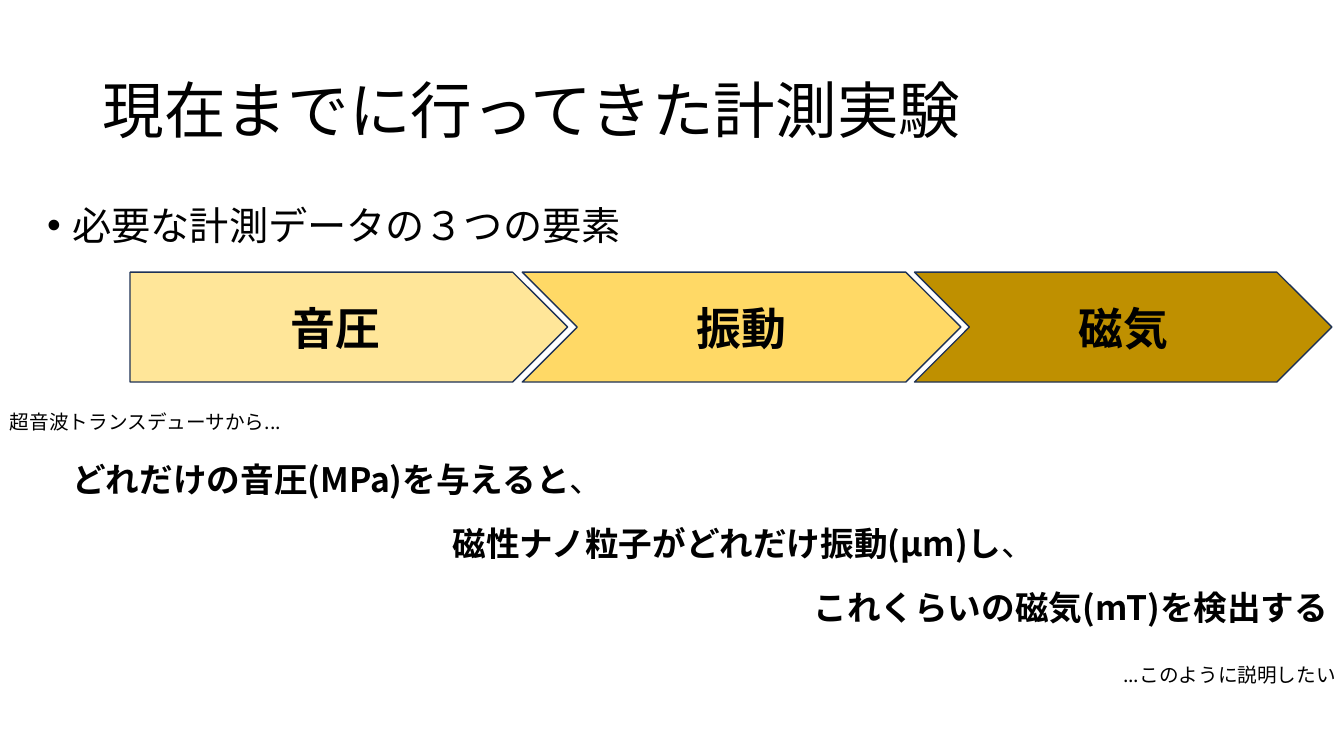
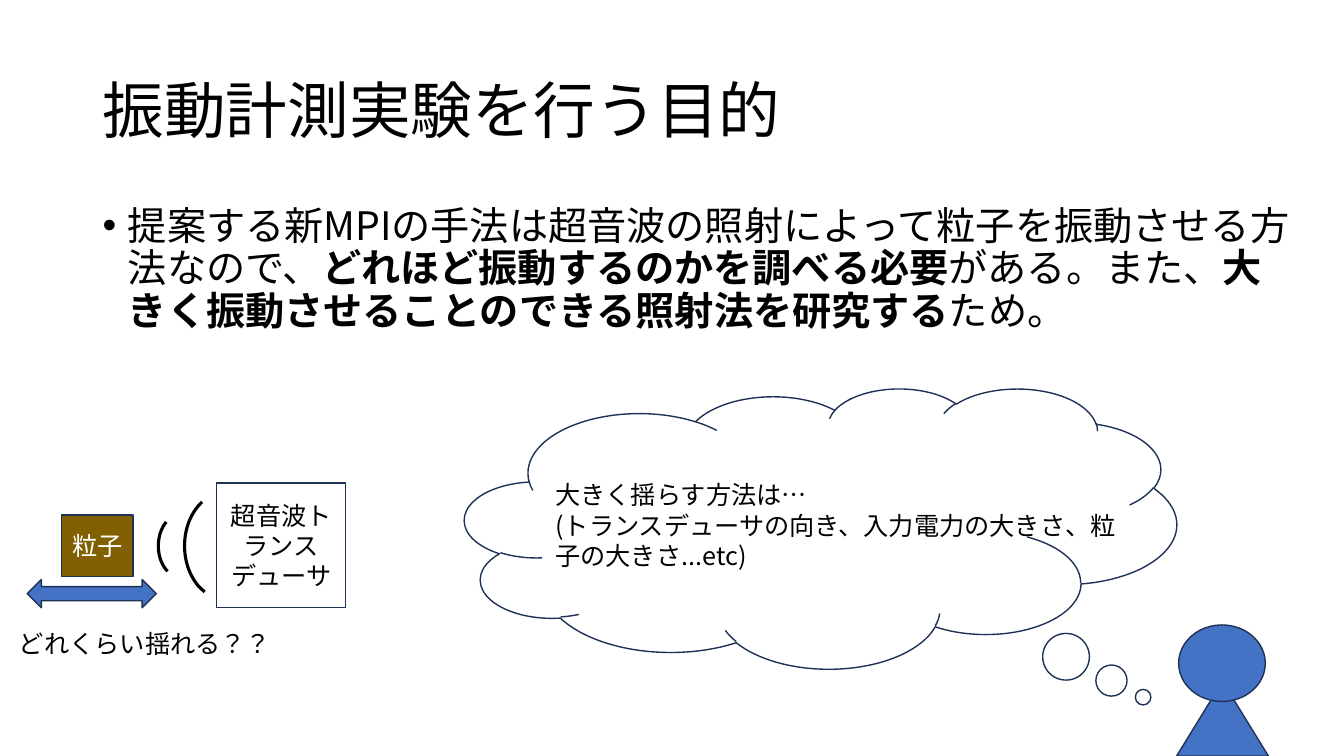
from dataclasses import dataclass

from lxml.etree import SubElement
from pptx import Presentation
from pptx.dml.color import RGBColor
from pptx.enum.lang import MSO_LANGUAGE_ID
from pptx.enum.shapes import MSO_SHAPE
from pptx.enum.text import MSO_ANCHOR, MSO_AUTO_SIZE, PP_ALIGN
from pptx.oxml.ns import qn
from pptx.util import Inches, Pt


@dataclass(frozen=True)
class Theme:
    font: str = "Noto Sans CJK JP"
    black: str = "000000"
    white: str = "FFFFFF"
    outline: str = "1E3256"
    blue: str = "4472C4"
    brown: str = "806000"
    pale_gold: str = "FFE699"
    gold: str = "FFD966"
    dark_gold: str = "BF9000"
    title: int = 44
    step: int = 32
    body: int = 28
    statement: int = 24
    label: int = 18
    note: int = 14
    thin: float = 1
    thick: float = 2.25


THEME = Theme()

STEPS_TITLE = "現在までに行ってきた計測実験"
STEPS_BODY = [("必要な計測データの３つの要素", False)]
STEPS = [
    ("音圧", MSO_SHAPE.PENTAGON, 4.34, THEME.pale_gold),
    ("振動", MSO_SHAPE.CHEVRON, 4.35, THEME.gold),
    ("磁気", MSO_SHAPE.CHEVRON, 4.14, THEME.dark_gold),
]
STEP_LEFT, STEP_TOP, STEP_PITCH, STEP_HEIGHT = 1.29, 2.7, 3.89, 1.09
STATEMENTS = [
    (0.62, 5.57, [("どれだけの音圧(MPa)を与えると", True), ("、", False)]),
    (4.39, 6.21, [("磁性ナノ粒子がどれだけ振動(μm)し", True), ("、", False)]),
    (7.97, 5.39, [("これくらいの磁気(mT)を検出する", True)]),
]
STATEMENT_TOP, STATEMENT_PITCH = 4.5, 0.635
NOTES = [
    ("超音波トランスデューサから...", (0, 4.02, 3.02, 0.34)),
    ("...このように説明したい", (11.04, 6.53, 2.32, 0.34)),
]

PURPOSE_TITLE = "振動計測実験を行う目的"
PURPOSE_BODY = [
    ("提案する新MPIの手法は超音波の照射によって粒子を振動させる方法なので、", False),
    ("どれほど振動するのかを調べる必要", True),
    ("がある。また、", False),
    ("大きく振動させることのできる照射法を研究する", True),
    ("ため。", False),
]
QUESTION = "どれくらい揺れる？？"
THOUGHT = [
    "大きく揺らす方法は…",
    "(トランスデューサの向き、入力電力の大きさ、粒子の大きさ...etc)",
]
BLOCKS = [
    ("粒子", (0.61, 5.11, 0.71, 0.61), THEME.brown, THEME.white),
    ("超音波トランスデューサ", (2.15, 4.79, 1.28, 1.24), None, THEME.black),
]
WAVES = [(1.83, 4.88, 0.83, 1.07), (1.57, 5.11, 0.42, 0.61)]
WAVE_ANGLES = (177.121, 36.644)
CLOUD_TAIL = (0.453, 0.603)


def write(para, spans, size, color=THEME.black):
    for text, bold in spans:
        span = para.add_run()
        span.text = text
        font = span.font
        font.name = THEME.font
        font.size = Pt(size)
        font.bold = bold
        font.color.rgb = RGBColor.from_string(color)
        font.language_id = MSO_LANGUAGE_ID.JAPANESE
        latin = span._r.rPr.find(qn("a:latin"))
        east_asian = span._r.rPr.makeelement(qn("a:ea"), {"typeface": THEME.font})
        latin.addnext(east_asian)


def add_text(page, place, paragraphs, size, grow=True):
    box = page.shapes.add_textbox(*map(Inches, place))
    frame = box.text_frame
    frame.word_wrap = True
    if grow:
        frame.auto_size = MSO_AUTO_SIZE.SHAPE_TO_FIT_TEXT
    for index, spans in enumerate(paragraphs):
        para = frame.add_paragraph() if index else frame.paragraphs[0]
        write(para, spans, size)
    return frame


def add_title(page, title):
    frame = add_text(page, (0.92, 0.4, 11.5, 1.45), [[(title, False)]], THEME.title, False)
    frame.vertical_anchor = MSO_ANCHOR.MIDDLE
    frame.paragraphs[0].line_spacing = 0.9


def add_bullet(page, place, spans):
    para = add_text(page, place, [spans], THEME.body, False).paragraphs[0]
    para.line_spacing = 0.9
    para.space_before = Pt(10)
    properties = para._p.get_or_add_pPr()
    properties.set("marL", str(Inches(0.25)))
    properties.set("indent", str(Inches(-0.25)))
    SubElement(properties, qn("a:buFont"), typeface="Arial")
    SubElement(properties, qn("a:buChar"), char="•")


def add_figure(page, kind, place, fill=None, line=THEME.outline, weight=THEME.thin,
               adjust=(), rotation=0):
    shape = page.shapes.add_shape(kind, *map(Inches, place))
    shape.shadow.inherit = False
    shape.rotation = rotation
    for index, value in enumerate(adjust):
        shape.adjustments[index] = value
    if fill:
        shape.fill.solid()
        shape.fill.fore_color.rgb = RGBColor.from_string(fill)
    else:
        shape.fill.background()
    shape.line.color.rgb = RGBColor.from_string(line)
    shape.line.width = Pt(weight)
    return shape


def label(shape, text, size, color=THEME.black, bold=False):
    frame = shape.text_frame
    frame.word_wrap = True
    frame.vertical_anchor = MSO_ANCHOR.MIDDLE
    para = frame.paragraphs[0]
    para.alignment = PP_ALIGN.CENTER
    write(para, [(text, bold)], size, color)


def build_steps(page):
    add_title(page, STEPS_TITLE)
    add_bullet(page, (0.37, 2, 12.96, 4.78), STEPS_BODY)
    for index, (name, kind, width, fill) in enumerate(STEPS):
        place = (STEP_LEFT + index * STEP_PITCH, STEP_TOP, width, STEP_HEIGHT)
        label(add_figure(page, kind, place, fill), name, THEME.step, bold=True)
    for index, (left, width, spans) in enumerate(STATEMENTS):
        place = (left, STATEMENT_TOP + index * STATEMENT_PITCH, width, 0.5)
        add_text(page, place, [spans], THEME.statement)
    for text, place in NOTES:
        add_text(page, place, [[(text, False)]], THEME.note)


def build_purpose(page):
    add_figure(page, MSO_SHAPE.CLOUD_CALLOUT, (4.61, 3.85, 7.06, 2.78), adjust=CLOUD_TAIL)
    add_figure(page, MSO_SHAPE.ISOSCELES_TRIANGLE, (11.67, 6.76, 0.91, 0.74), THEME.blue)
    add_title(page, PURPOSE_TITLE)
    add_bullet(page, (0.92, 2, 11.98, 2.42), PURPOSE_BODY)
    for text, place, fill, color in BLOCKS:
        label(add_figure(page, MSO_SHAPE.RECTANGLE, place, fill), text, THEME.label, color)
    for place in WAVES:
        add_figure(page, MSO_SHAPE.ARC, place, line=THEME.black, weight=THEME.thick,
                   adjust=WAVE_ANGLES, rotation=180)
    add_figure(page, MSO_SHAPE.LEFT_RIGHT_ARROW, (0.27, 5.75, 1.28, 0.28), THEME.blue)
    add_text(page, (0.09, 6.18, 2.94, 0.4), [[(QUESTION, False)]], THEME.label)
    add_figure(page, MSO_SHAPE.OVAL, (11.69, 6.2, 0.86, 0.76), THEME.blue)
    thought = [[(text, False)] for text in THOUGHT]
    add_text(page, (5.41, 4.71, 5.86, 1.01), thought, THEME.label)


def main():
    deck = Presentation()
    deck.slide_width = Inches(13.33)
    deck.slide_height = Inches(7.5)
    for build in (build_steps, build_purpose):
        build(deck.slides.add_slide(deck.slide_layouts[6]))
    deck.save("out.pptx")


if __name__ == "__main__":
    main()
